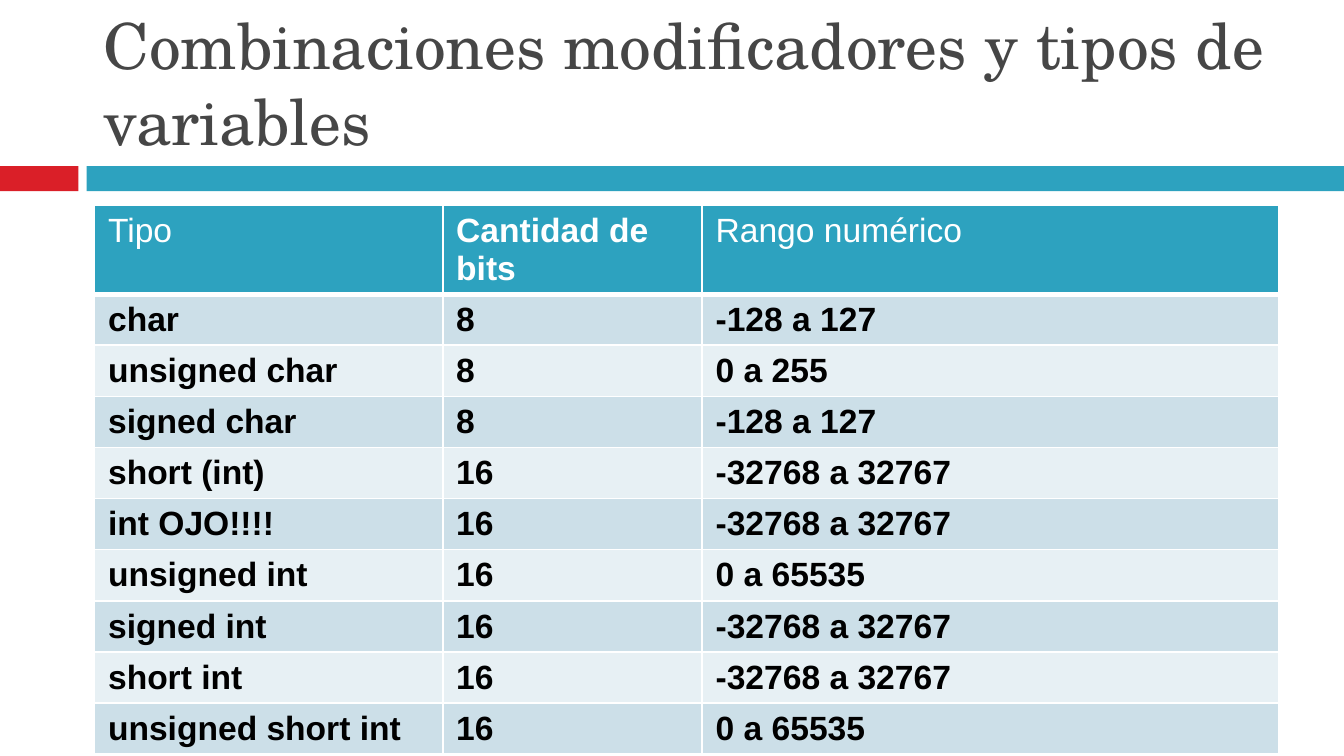
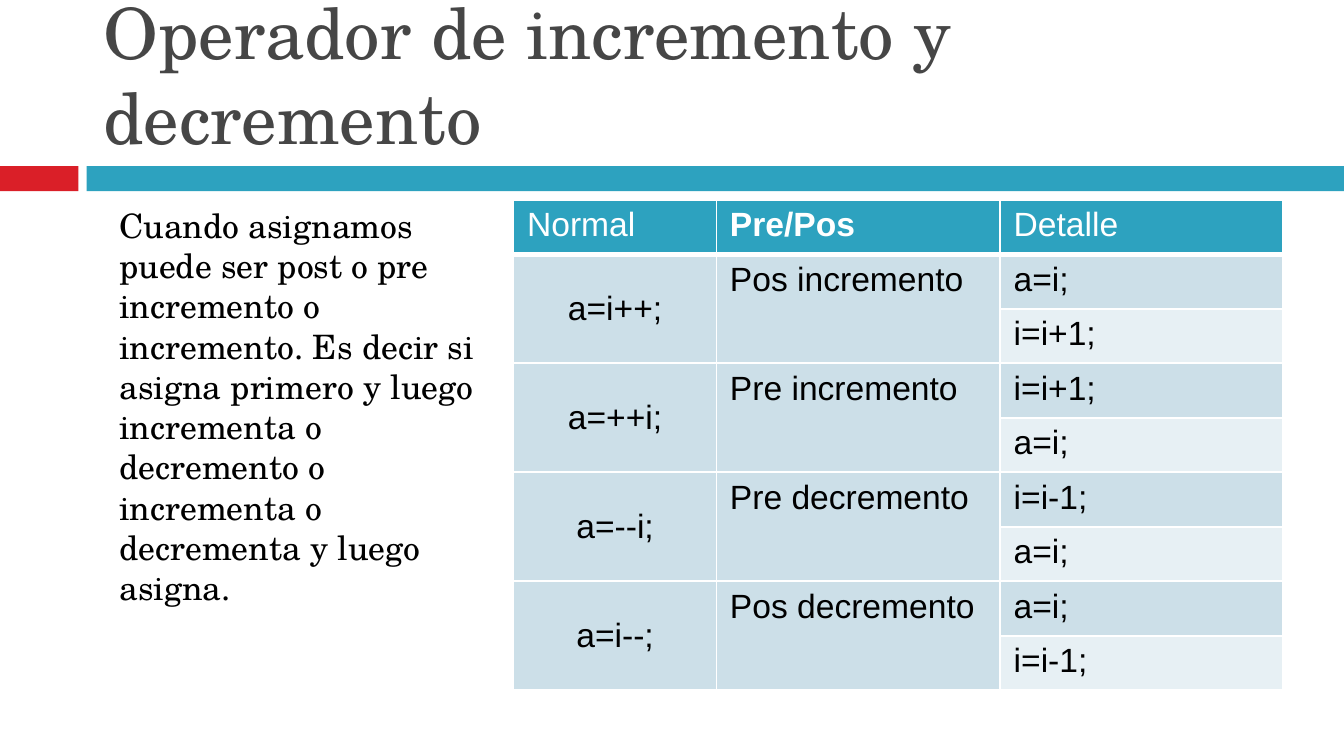
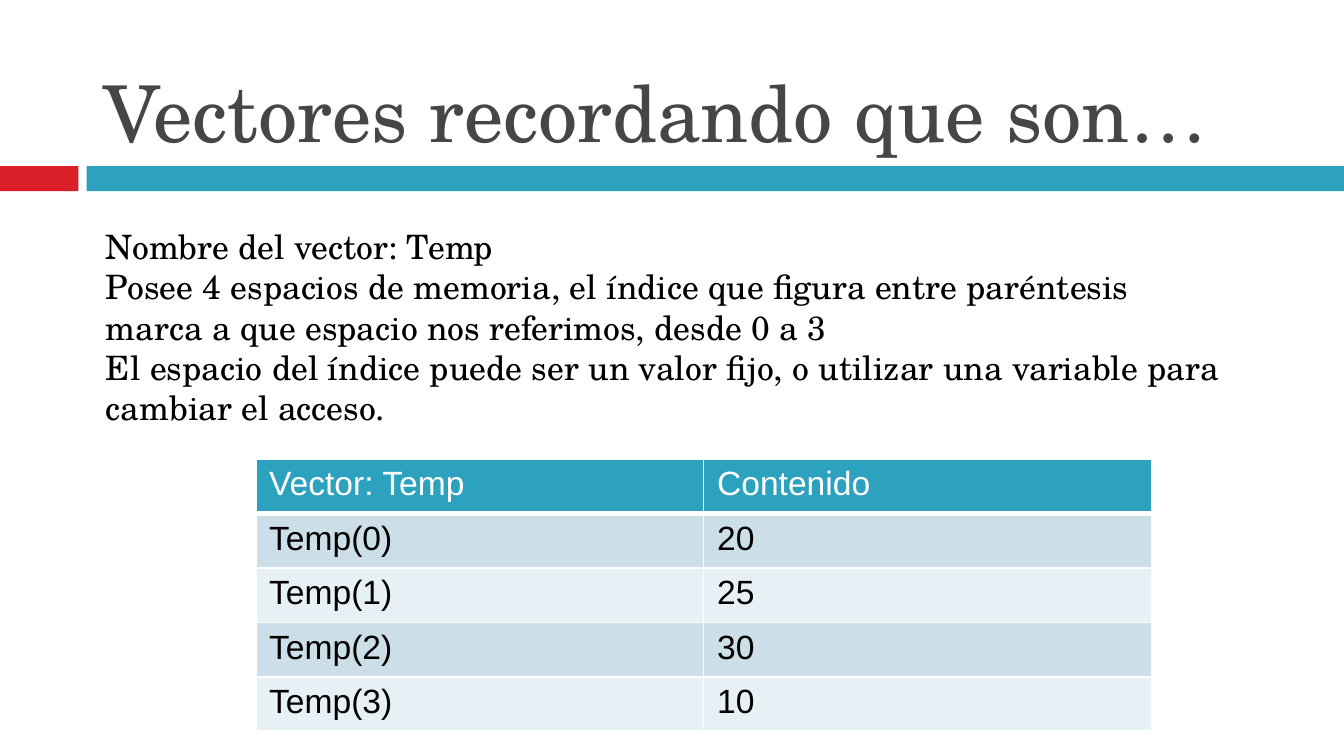
from dataclasses import dataclass

from lxml import etree
from pptx import Presentation
from pptx.dml.color import RGBColor
from pptx.enum import shapes, text
from pptx.oxml import ns
from pptx.util import Pt


@dataclass(frozen=True)
class Theme:
    accent: str = "2DA2BF"
    marker: str = "DA1F28"
    heading: str = "464646"
    ink: str = "000000"
    paper: str = "FFFFFF"
    stripes: tuple = ("CCDFE8", "E7F0F4")
    serif: str = "TeX Gyre Schola"
    sans: str = "Arial"
    text_size: float = 18
    rule: float = 1
    header_rule: float = 3


THEME = Theme()
TITLE_ONLY = 5
SHORT, UNSIGNED_SHORT = "-32768 a 32767", "0 a 65535"

TYPES = [
    ("Tipo", "Cantidad de bits", "Rango numérico"),
    ("char", "8", "-128 a 127"),
    ("unsigned char", "8", "0 a 255"),
    ("signed char", "8", "-128 a 127"),
    ("short (int)", "16", SHORT),
    ("int OJO!!!!", "16", SHORT),
    ("unsigned int", "16", UNSIGNED_SHORT),
    ("signed int", "16", SHORT),
    ("short int", "16", SHORT),
    ("unsigned short int", "16", UNSIGNED_SHORT),
]

OPERATORS = [
    ("Normal", "Pre/Pos", "Detalle"),
    ("a=i++;", "Pos incremento", "a=i;"),
    ("", "", "i=i+1;"),
    ("a=++i;", "Pre incremento", "i=i+1;"),
    ("", "", "a=i;"),
    ("a=--i;", "Pre decremento", "i=i-1;"),
    ("", "", "a=i;"),
    ("a=i--;", "Pos decremento", "a=i;"),
    ("", "", "i=i-1;"),
]

VECTOR = [
    ("Vector: Temp", "Contenido"),
    ("Temp(0)", "20"),
    ("Temp(1)", "25"),
    ("Temp(2)", "30"),
    ("Temp(3)", "10"),
]

ASSIGNMENT = [[
    "Cuando asignamos puede ser post o pre incremento o incremento. "
    "Es decir si asigna primero y luego incrementa o decremento o "
    "incrementa o decrementa y luego asigna."
]]

VECTOR_NOTES = [
    [
        "Nombre del vector: Temp",
        "Posee 4 espacios de memoria, el índice que figura entre paréntesis "
        "marca a que espacio nos referimos, desde 0 a 3",
    ],
    [
        "El espacio del índice puede ser un valor fijo, o utilizar una "
        "variable para cambiar el acceso."
    ],
]


def set_font(paragraph, face, size, color, bold=False):
    font = paragraph.font
    font.name, font.size, font.bold = face, Pt(size), bold
    font.color.rgb = RGBColor.from_string(color)


def add_band(slide, left, width, color):
    band = slide.shapes.add_shape(
        shapes.MSO_SHAPE.RECTANGLE, Pt(left), Pt(89), Pt(width), Pt(13.4))
    band.shadow.inherit = False
    band.fill.solid()
    band.fill.fore_color.rgb = RGBColor.from_string(color)
    band.line.fill.background()


def add_titled_slide(deck, heading, size):
    slide = deck.slides.add_slide(deck.slide_layouts[TITLE_ONLY])
    add_band(slide, 0, 42, THEME.marker)
    add_band(slide, 46.5, 673.5, THEME.accent)
    title = slide.shapes.title
    title.left, title.top = Pt(48.2), Pt(9.4)
    title.width, title.height = Pt(642.2), Pt(79.2)
    frame = title.text_frame
    frame.text = heading
    frame.auto_size = text.MSO_AUTO_SIZE.NONE
    frame.vertical_anchor = text.MSO_ANCHOR.BOTTOM
    frame.paragraphs[0].alignment = text.PP_ALIGN.LEFT
    set_font(frame.paragraphs[0], THEME.serif, size, THEME.heading)
    return slide


def add_prose(slide, left, top, width, height, paragraphs):
    frame = slide.shapes.add_textbox(
        Pt(left), Pt(top), Pt(width), Pt(height)).text_frame
    frame.word_wrap = True
    frame.auto_size = text.MSO_AUTO_SIZE.SHAPE_TO_FIT_TEXT
    for index, lines in enumerate(paragraphs):
        paragraph = frame.add_paragraph() if index else frame.paragraphs[0]
        for number, line in enumerate(lines):
            if number:
                paragraph.add_line_break()
            paragraph.add_run().text = line
        set_font(paragraph, THEME.serif, THEME.text_size, THEME.ink)


def set_borders(cell, row):
    properties = cell._tc.get_or_add_tcPr()
    widths = {
        "a:lnL": THEME.rule,
        "a:lnR": THEME.rule,
        "a:lnT": THEME.header_rule if row == 1 else THEME.rule,
        "a:lnB": THEME.header_rule if row == 0 else THEME.rule,
    }
    for position, (side, width) in enumerate(widths.items()):
        border = etree.Element(ns.qn(side), w=str(Pt(width)))
        fill = etree.SubElement(border, ns.qn("a:solidFill"))
        etree.SubElement(fill, ns.qn("a:srgbClr"), val=THEME.paper)
        properties.insert(position, border)


def add_grid(slide, left, top, widths, row_height, rows, bold_body=False):
    table = slide.shapes.add_table(
        len(rows), len(widths), Pt(left), Pt(top),
        Pt(sum(widths)), Pt(row_height * len(rows))).table
    for column, width in zip(table.columns, widths):
        column.width = Pt(width)
    for row, values in enumerate(rows):
        table.rows[row].height = Pt(row_height)
        for column, value in enumerate(values):
            cell = table.cell(row, column)
            cell.text = value
            header = row == 0
            inner = 0 < column < len(widths) - 1
            cell.fill.solid()
            cell.fill.fore_color.rgb = RGBColor.from_string(
                THEME.accent if header else THEME.stripes[(row - 1) % 2])
            if bold_body and not header:
                cell.vertical_anchor = text.MSO_ANCHOR.MIDDLE
            set_font(cell.text_frame.paragraphs[0], THEME.sans,
                     THEME.text_size, THEME.paper if header else THEME.ink,
                     inner if header else bold_body)
            set_borders(cell, row)
    return table


def merge_row_pairs(table):
    for row in range(1, len(table.rows), 2):
        for column in (0, 1):
            table.cell(row, column).merge(table.cell(row + 1, column))
        expression = table.cell(row, 0)
        expression.vertical_anchor = text.MSO_ANCHOR.MIDDLE
        expression.text_frame.paragraphs[0].alignment = text.PP_ALIGN.CENTER


def main():
    deck = Presentation()
    deck.slide_width, deck.slide_height = Pt(720), Pt(405)

    types = add_titled_slide(
        deck, "Combinaciones modificadores y tipos de variables", 34)
    add_grid(types, 50.7, 110, (186.5, 139, 309), 26, TYPES, bold_body=True)

    operators = add_titled_slide(
        deck, "Operador de incremento y decremento", 37.8)
    add_prose(operators, 56.9, 106, 206.6, 181.4, ASSIGNMENT)
    merge_row_pairs(add_grid(
        operators, 275.2, 107, (108.7, 152, 151.5), 29.2, OPERATORS))

    vector = add_titled_slide(deck, "Vectores recordando que son…", 42)
    add_prose(vector, 49.7, 117.4, 617.8, 116.6, VECTOR_NOTES)
    add_grid(vector, 137, 245.8, (240, 240), 29.2, VECTOR)

    deck.save("out.pptx")


if __name__ == "__main__":
    main()
